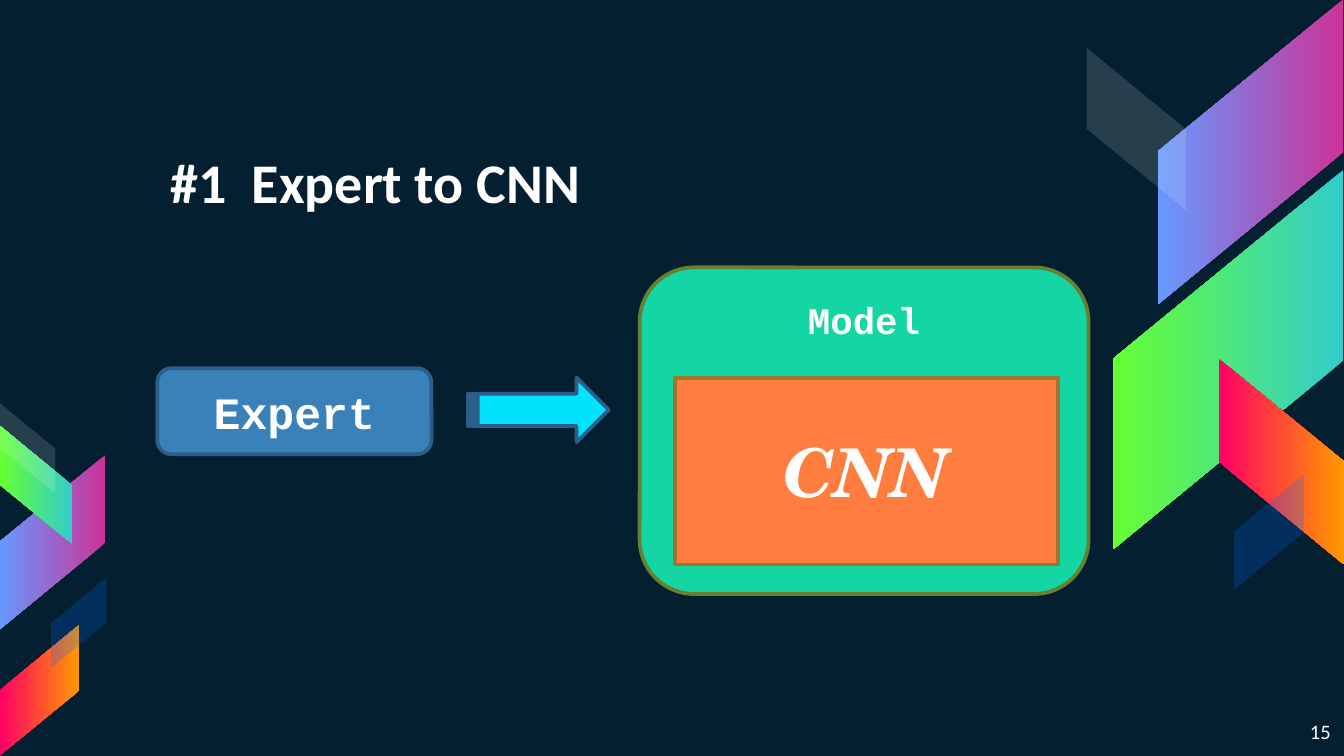
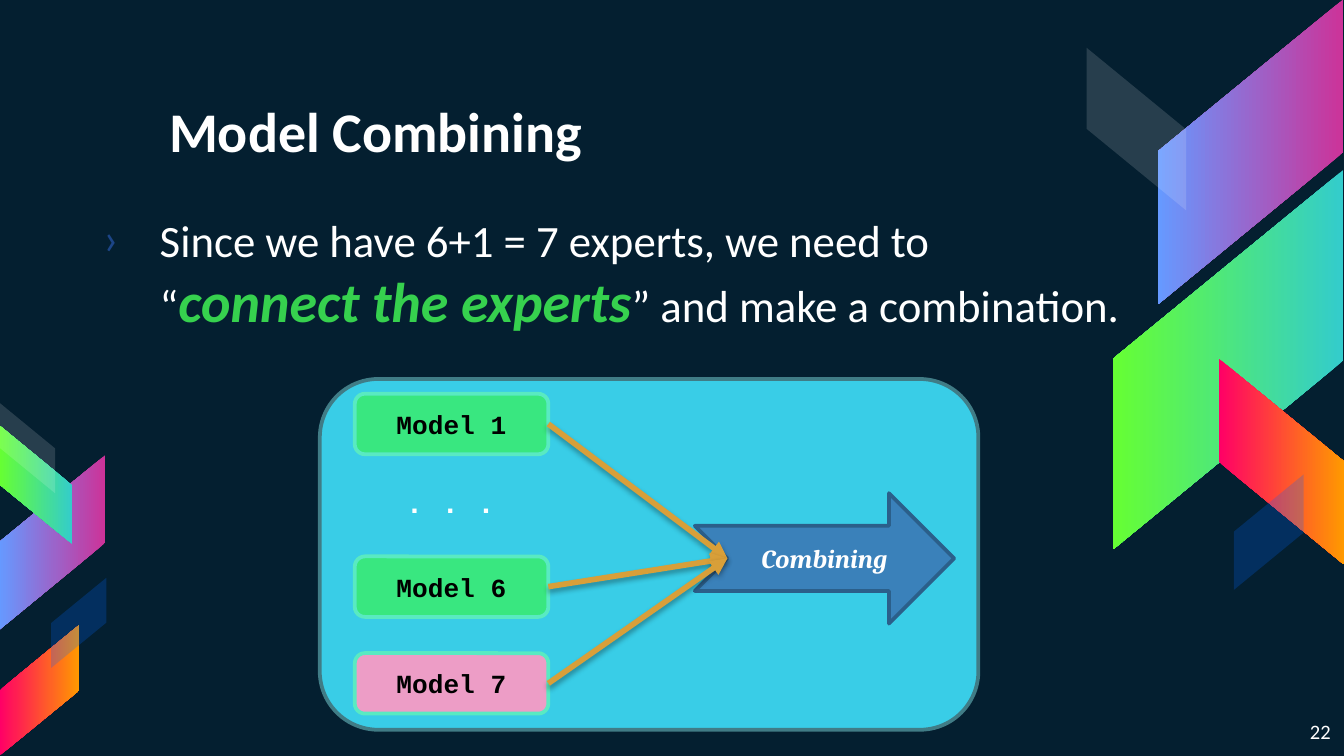
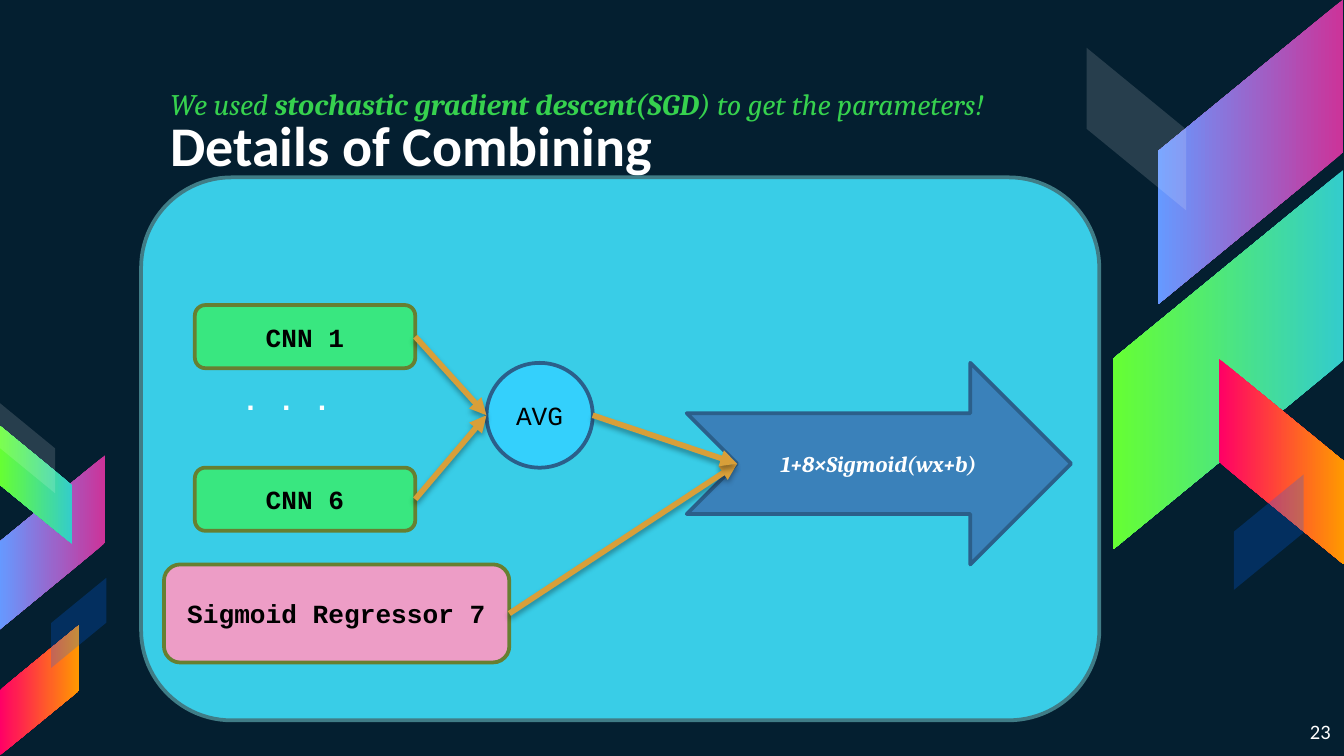
from lxml.etree import SubElement
from pptx import Presentation
from pptx.dml.color import RGBColor
from pptx.enum.shapes import MSO_CONNECTOR as Connector, MSO_SHAPE as Shape
from pptx.enum.text import MSO_ANCHOR as Anchor, PP_ALIGN as Align
from pptx.oxml.ns import qn
from pptx.util import Pt

EMU_PER_PX = 9144
SLIDE_WIDTH = 1000

NAVY, WHITE, BLACK = "041F30", "FFFFFF", "000000"
BLUE, BLUE_EDGE = "3A81BA", "2B5F8A"
CYAN, CYAN_EDGE = "39CDE7", "407C86"
GREEN, PINK = "39E780", "ED9DC6"
MINT_EDGE, OLIVE_EDGE = "59EAC2", "677F31"
ACCENT, GOLD = "36D14E", "D89F39"

SANS, SERIF, MONO, SCHOOL = "Calibri", "Cambria", "Courier New", "TeX Gyre Schola"

VIOLET_FADE = ("CC3399", "6699FF")
LIME_FADE = ("33CCCC", "66FF33")
SUNSET_FADE = ("FF0066", "FF9900")
GLASS, SHADE = (WHITE, 14), ("0066FF", 23)

RIBBONS = [
    ((817, 44, 227, 138), 90, True, VIOLET_FADE),
    ((773, 182, 282, 171), 90, True, LIME_FADE),
    ((877, 297, 153, 93), 270, False, SUNSET_FADE),
    ((785, 59, 121, 74), 270, False, GLASS),
    ((901, 370, 86, 52), 270, True, SHADE),
    ((-26, 364, 130, 79), 90, True, VIOLET_FADE),
    ((-17, 334, 88, 54), 90, False, LIME_FADE),
    ((-19, 484, 97, 59), 270, True, SUNSET_FADE),
    ((-13, 313, 67, 41), 270, False, GLASS),
    ((25, 443, 67, 41), 270, True, SHADE),
]


def px(length):
    return length * EMU_PER_PX


def rgb(value):
    return RGBColor.from_string(value)


def add_xml(parent, tag, **attributes):
    child = SubElement(parent, qn(tag))
    for name, value in attributes.items():
        child.set(name, str(value))
    return child


def write(frame, text, size=14, font=MONO, color=WHITE, bold=False, italic=False,
          align=Align.LEFT, anchor=Anchor.TOP, inset=None, bullet=None):
    frame.word_wrap = True
    frame.vertical_anchor = anchor
    if inset:
        frame.margin_left, frame.margin_top, frame.margin_right, frame.margin_bottom = map(px, inset)
    paragraph = frame.paragraphs[0]
    paragraph.alignment = align
    if bullet:
        properties = paragraph._p.get_or_add_pPr()
        properties.set("marL", str(px(50)))
        properties.set("indent", str(px(-42)))
        add_xml(add_xml(properties, "a:buClr"), "a:srgbClr", val="1C4587")
        add_xml(properties, "a:buFont", typeface=font)
        add_xml(properties, "a:buChar", char=bullet)
    base = dict(size=size, color=color, bold=bold, italic=italic)
    pieces = [(text, {})] if isinstance(text, str) else text
    for piece, changes in pieces:
        style = {**base, **changes}
        run = paragraph.add_run()
        run.text = piece
        run.font.name = font
        run.font.size = Pt(style["size"])
        run.font.color.rgb = rgb(style["color"])
        run.font.bold = style["bold"]
        run.font.italic = style["italic"]


class Deck:
    def __init__(self):
        self.presentation = Presentation()
        self.presentation.slide_width = px(SLIDE_WIDTH)
        self.presentation.slide_height = px(SLIDE_WIDTH) * 9 // 16
        self.slide = None

    def start_slide(self, number):
        self.slide = self.presentation.slides.add_slide(self.presentation.slide_layouts[6])
        background = self.slide.background.fill
        background.solid()
        background.fore_color.rgb = rgb(NAVY)
        for ribbon in RIBBONS:
            self.ribbon(*ribbon)
        self.text((936, 526, 64, 36), number, size=11, font=SANS, align=Align.RIGHT,
                  inset=(10, 10, 10, 10))

    def ribbon(self, box, rotation, flipped, paint):
        shape = self.slide.shapes.add_shape(Shape.PARALLELOGRAM, *map(px, box))
        shape.shadow.inherit = False
        shape.adjustments[0] = 0.82
        shape.rotation = rotation
        shape.line.fill.background()
        if flipped:
            shape.element.spPr.get_or_add_xfrm().set("flipH", "1")
        if paint in (GLASS, SHADE):
            color, opacity = paint
            shape.fill.solid()
            shape.fill.fore_color.rgb = rgb(color)
            color_element = shape.element.spPr.find(qn("a:solidFill"))[0]
            add_xml(color_element, "a:alpha", val=opacity * 1000)
        else:
            shape.fill.gradient()
            shape.fill.gradient_angle = 270
            for stop, color in zip(shape.fill.gradient_stops, paint):
                stop.color.rgb = rgb(color)

    def title(self, box, text):
        self.text(box, text, size=30, font=SANS, bold=True, anchor=Anchor.BOTTOM,
                  inset=(10, 10, 10, 10))

    def text(self, box, text, **style):
        textbox = self.slide.shapes.add_textbox(*map(px, box))
        write(textbox.text_frame, text, **style)

    def dots(self, box):
        self.text(box, ". . .", size=16, bold=True)

    def shape(self, kind, box, fill, edge, text=None, **style):
        shape = self.slide.shapes.add_shape(kind, *map(px, box))
        shape.shadow.inherit = False
        shape.fill.solid()
        shape.fill.fore_color.rgb = rgb(fill)
        shape.line.color.rgb = rgb(edge)
        shape.line.width = Pt(2)
        if text:
            write(shape.text_frame, text,
                  **{"align": Align.CENTER, "anchor": Anchor.MIDDLE, "bold": True, **style})
        return shape

    def rounded(self, box, fill, edge, text=None, **style):
        return self.shape(Shape.ROUNDED_RECTANGLE, box, fill, edge, text, **style)

    def result_arrow(self, box, text, size):
        return self.shape(Shape.NOTCHED_RIGHT_ARROW, box, BLUE, BLUE_EDGE, text,
                          size=size, font=SERIF, italic=True)

    def link(self, source, target):
        notched = target.auto_shape_type == Shape.NOTCHED_RIGHT_ARROW
        notch = target.height // 4 if notched else 0
        connector = self.slide.shapes.add_connector(
            Connector.STRAIGHT,
            source.left + source.width, source.top + source.height // 2,
            target.left + notch, target.top + target.height // 2)
        if source.auto_shape_type == Shape.ROUNDED_RECTANGLE:
            connector.begin_connect(source, 3)
        connector.line.color.rgb = rgb(GOLD)
        connector.line.width = Pt(3)
        properties = connector._element.spPr
        add_xml(properties.find(qn("a:ln")), "a:tailEnd", type="triangle")
        shadow = add_xml(add_xml(properties, "a:effectLst"), "a:outerShdw",
                         blurRad=Pt(3.1), dist=Pt(1.8), dir=90 * 60000, rotWithShape=0)
        color = add_xml(shadow, "a:srgbClr", val=BLACK)
        add_xml(color, "a:alpha", val=35000)


def expert_slide(deck):
    deck.start_slide("15")
    deck.title((117, 100, 653, 70), "#1  Expert to CNN")
    deck.rounded((117, 274, 204, 64), BLUE, BLUE_EDGE, "Expert", size=24)
    deck.rounded((476, 199, 334, 243), "14D5A4", OLIVE_EDGE, "Model", size=20,
                 anchor=Anchor.TOP, inset=(10, 10, 10, 5))
    deck.shape(Shape.STRIPED_RIGHT_ARROW, (348, 281, 105, 48), "03E2FC", BLUE_EDGE)
    deck.shape(Shape.RECTANGLE, (502, 281, 285, 139), "FF7E3F", "A0762A", "CNN",
               size=36, font=SCHOOL, italic=True)


def combining_slide(deck):
    deck.start_slide("22")
    deck.title((116, 62, 674, 70), "Model Combining")
    deck.text((59, 148, 789, 302), [
        ("Since we have 6+1 = 7 experts, we need to “", {}),
        ("connect the experts", dict(size=30, color=ACCENT, bold=True, italic=True)),
        ("” and make a combination.", {}),
    ], size=24, font=SANS, inset=(10, 10, 10, 10), bullet="›")
    deck.rounded((238, 282, 490, 261), CYAN, CYAN_EDGE)
    models = [deck.rounded((264, top, 144, 45), fill, MINT_EDGE, name, color=BLACK)
              for top, fill, name in [(293, GREEN, "Model 1"), (414, GREEN, "Model 6"),
                                      (486, PINK, "Model 7")]]
    deck.dots((292, 355, 115, 37))
    combining = deck.result_arrow((517, 367, 193, 97), "Combining", 14)
    for model in models:
        deck.link(model, combining)


def details_slide(deck):
    deck.start_slide("23")
    deck.title((117, 72, 653, 70), "Details of Combining")
    deck.rounded((105, 132, 713, 404), CYAN, CYAN_EDGE)
    networks = [deck.rounded((145, top, 164, 47), GREEN, OLIVE_EDGE, name, color=BLACK)
                for top, name in [(227, "CNN 1"), (348, "CNN 6")]]
    deck.dots((170, 278, 96, 37))
    regressor = deck.rounded((122, 420, 257, 73), PINK, OLIVE_EDGE, "Sigmoid Regressor 7",
                             color=BLACK)
    sigmoid = deck.result_arrow((511, 270, 286, 150), "1+8×Sigmoid(wx+b)", 12)
    average = deck.shape(Shape.OVAL, (362, 270, 79, 78), "34D0FC", BLUE_EDGE, "AVG",
                         color=BLACK, bold=False)
    for network in networks:
        deck.link(network, average)
    for source in (regressor, average):
        deck.link(source, sigmoid)
    deck.text((117, 59, 645, 37), [
        ("We used ", {}),
        ("stochastic gradient descent(SGD", dict(bold=True)),
        (") to get the parameters!", {}),
    ], size=16, font=SERIF, color=ACCENT, italic=True)


def main():
    deck = Deck()
    expert_slide(deck)
    combining_slide(deck)
    details_slide(deck)
    deck.presentation.save("out.pptx")


if __name__ == "__main__":
    main()
